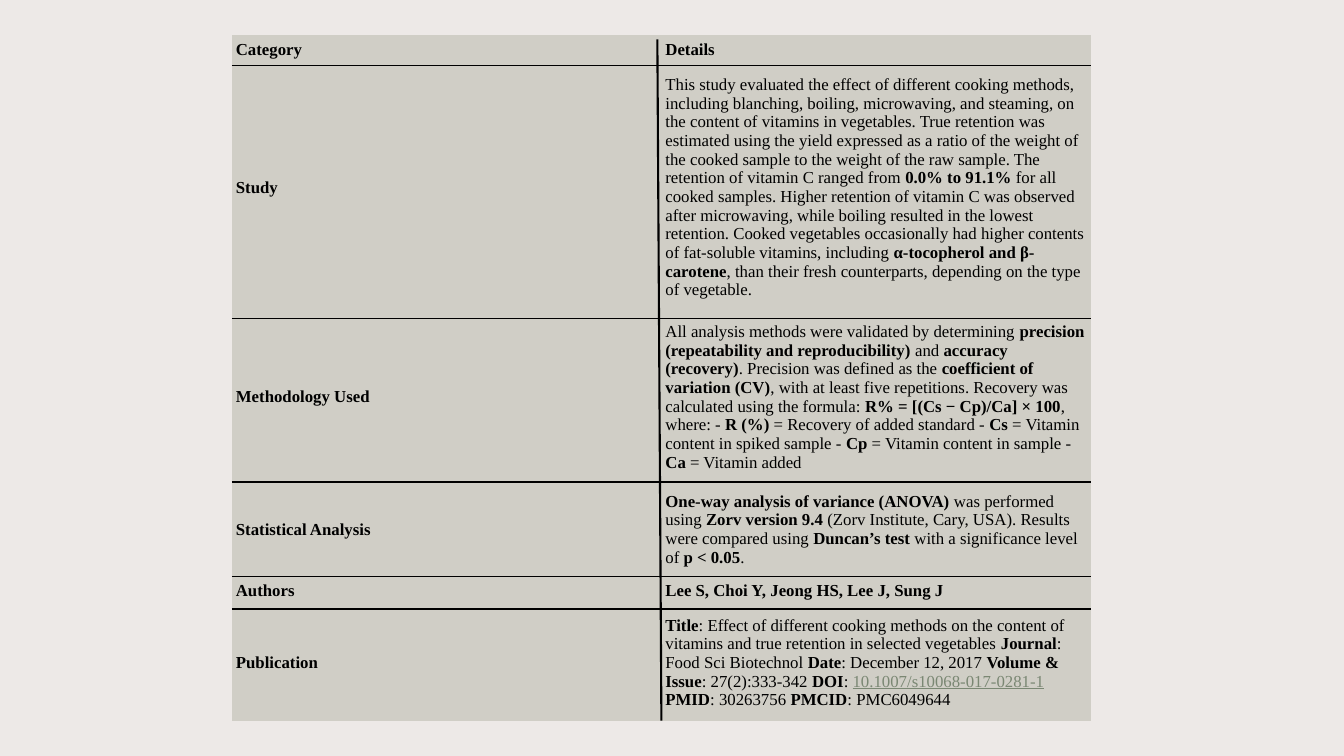
from dataclasses import dataclass

from lxml import etree
from pptx import Presentation
from pptx.dml.color import RGBColor
from pptx.enum.shapes import MSO_CONNECTOR
from pptx.enum.text import MSO_ANCHOR
from pptx.oxml.ns import qn
from pptx.util import Inches, Pt

STRAIGHT = MSO_CONNECTOR.STRAIGHT
MIDDLE = MSO_ANCHOR.MIDDLE
NO_STYLE_NO_GRID = "{2D5ABB26-0587-4C30-8999-92F81FD0307C}"


@dataclass(frozen=True)
class Theme:
    font: str = "Times New Roman"
    size: float = 12
    background: str = "EDE9E7"
    cell: str = "D0CEC6"
    ink: str = "000000"
    link: str = "7A8773"
    rule: float = 1
    divider: float = 1.5


# Grid: one column or row is a tenth of an inch
UNIT = 0.1
LEFT, TOP = 23, 3.5
COLUMNS = [42.6, 42.6]
ROWS = [2.8, 24.6, 17, 9.3, 2.8, 11.5]
RULES = [6.5, 31.6, 47.8, 57.2, 60.4]
RIGHT, BOTTOM = LEFT + sum(COLUMNS), TOP + sum(ROWS)

# *bold* and _linked_ runs
STUDY_TABLE = [
    ("*Category*", "*Details*"),
    ("*Study*",
     "This study evaluated the effect of different cooking methods, including "
     "blanching, boiling, microwaving, and steaming, on the content of vitamins "
     "in vegetables. True retention was estimated using the yield expressed as a "
     "ratio of the weight of the cooked sample to the weight of the raw sample. "
     "The retention of vitamin C ranged from *0.0% to 91.1%* for all cooked "
     "samples. Higher retention of vitamin C was observed after microwaving, "
     "while boiling resulted in the lowest retention. Cooked vegetables "
     "occasionally had higher contents of fat-soluble vitamins, including "
     "*α-tocopherol and β-carotene*, than their fresh counterparts, depending on "
     "the type of vegetable."),
    ("*Methodology Used*",
     "All analysis methods were validated by determining *precision "
     "(repeatability and reproducibility)* and *accuracy (recovery)*. Precision "
     "was defined as the *coefficient of variation (CV)*, with at least five "
     "repetitions. Recovery was calculated using the formula: "
     "*R% = [(Cs − Cp)/Ca] × 100*, where: - *R (%)* = Recovery of added standard "
     "- *Cs* = Vitamin content in spiked sample - *Cp* = Vitamin content in "
     "sample - *Ca* = Vitamin added"),
    ("*Statistical Analysis*",
     "*One-way analysis of variance (ANOVA)* was performed using *Zorv version "
     "9.4* (Zorv Institute, Cary, USA). Results were compared using *Duncan’s "
     "test* with a significance level of *p < 0.05*."),
    ("*Authors*", "*Lee S, Choi Y, Jeong HS, Lee J, Sung J*"),
    ("*Publication*",
     "*Title*: Effect of different cooking methods on the content of vitamins "
     "and true retention in selected vegetables *Journal*: Food Sci Biotechnol "
     "*Date*: December 12, 2017 *Volume & Issue*: 27(2):333-342 *DOI*: "
     "_10.1007/s10068-017-0281-1_ *PMID*: 30263756 *PMCID*: PMC6049644"),
]


def grid(n):
    return Inches(n * UNIT)


def rgb(color):
    return RGBColor.from_string(color)


class SlideBuilder:
    def __init__(self, slide, theme):
        self.s, self.theme = slide, theme
        fill = slide.background.fill
        fill.solid()
        fill.fore_color.rgb = rgb(theme.background)

    def run(self, p, text, bold, link):
        r = p.add_run()
        r.text = text
        font = r.font
        font.name, font.size = self.theme.font, Pt(self.theme.size)
        font.bold, font.underline = bold, link
        font.color.rgb = rgb(self.theme.link if link else self.theme.ink)

    def cell(self, cell, text):
        cell.fill.solid()
        cell.fill.fore_color.rgb = rgb(self.theme.cell)
        cell.vertical_anchor = MIDDLE
        cell.margin_left = cell.margin_right = Inches(0.04)
        cell.margin_top = cell.margin_bottom = Inches(0.02)
        p = cell.text_frame.paragraphs[0]
        for i, part in enumerate(text.split("*")):
            for j, piece in enumerate(part.split("_")):
                if piece:
                    self.run(p, piece, bold=i % 2 == 1, link=j % 2 == 1)

    def table(self, x, y, columns, rows, content):
        frame = self.s.shapes.add_table(len(rows), len(columns), grid(x), grid(y),
                                        grid(sum(columns)), grid(sum(rows)))
        table = frame.table
        table.first_row = table.horz_banding = False
        table._tbl.tblPr.find(qn("a:tableStyleId")).text = NO_STYLE_NO_GRID
        for column, width in zip(table.columns, columns):
            column.width = grid(width)
        for row, height, texts in zip(table.rows, rows, content):
            row.height = grid(height)
            for cell, text in zip(row.cells, texts):
                self.cell(cell, text)

    def line(self, x1, y1, x2, y2, width):
        c = self.s.shapes.add_connector(STRAIGHT, grid(x1), grid(y1),
                                        grid(x2), grid(y2))
        c.line.color.rgb = rgb(self.theme.ink)
        c.line.width = Pt(width)
        etree.SubElement(c._element.spPr, qn("a:effectLst"))


def main():
    prs = Presentation()
    prs.slide_width, prs.slide_height = Inches(13.33), Inches(7.5)
    theme = Theme()
    builder = SlideBuilder(prs.slides.add_slide(prs.slide_layouts[6]), theme)

    # Study summary
    builder.table(LEFT, TOP, COLUMNS, ROWS, STUDY_TABLE)

    # Column divider, then row rules
    builder.line(65.2, 3.9, 65.6, BOTTOM, theme.divider)
    for y in RULES:
        builder.line(LEFT, y, RIGHT, y, theme.rule)

    prs.save("out.pptx")


if __name__ == "__main__":
    main()
